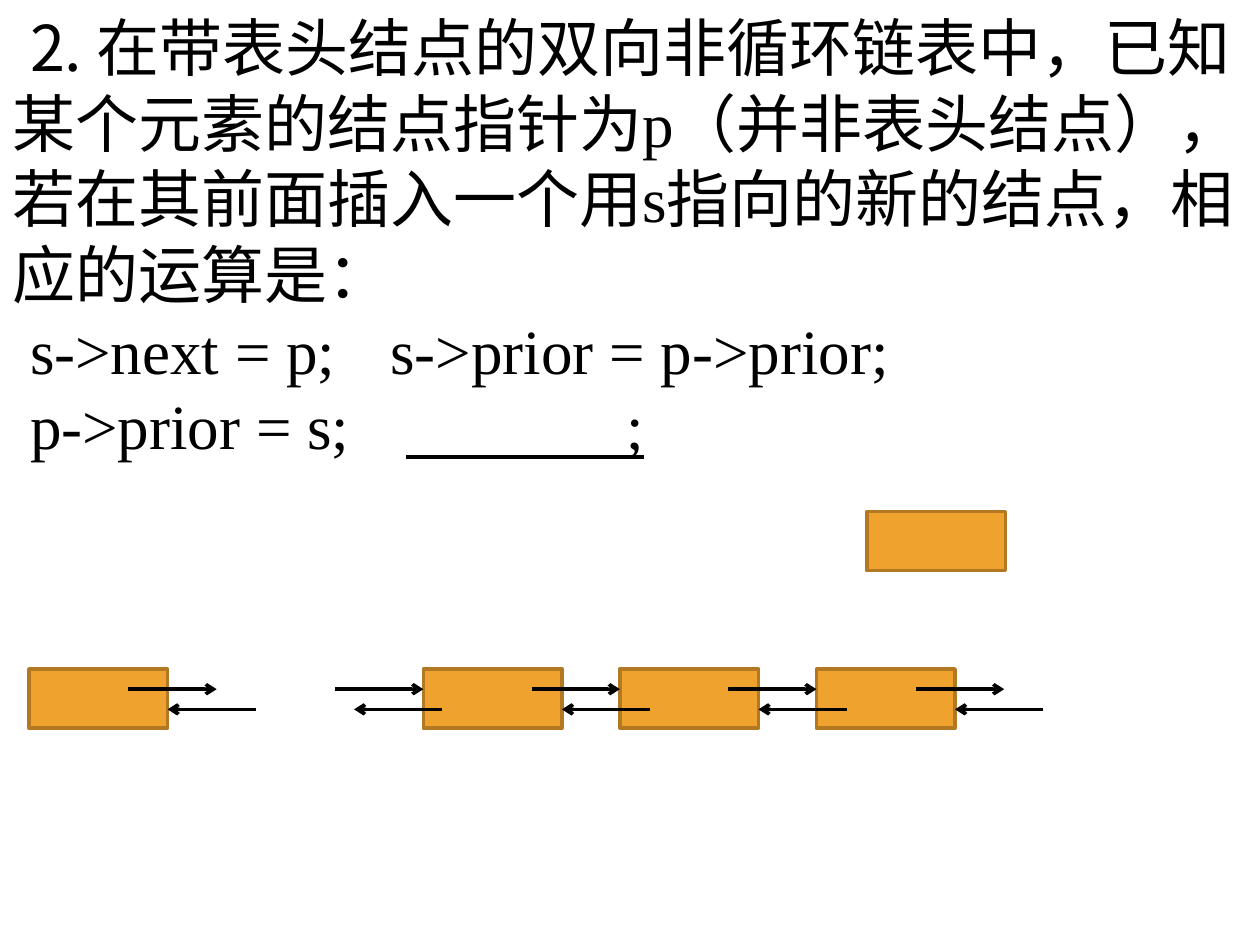
from dataclasses import dataclass

from lxml import etree
from pptx import Presentation
from pptx.dml.color import RGBColor
from pptx.enum.shapes import MSO_CONNECTOR, MSO_SHAPE
from pptx.enum.text import MSO_ANCHOR, MSO_AUTO_SIZE
from pptx.oxml.ns import qn
from pptx.util import Inches, Pt

RECTANGLE = MSO_SHAPE.RECTANGLE
STRAIGHT = MSO_CONNECTOR.STRAIGHT
MIDDLE = MSO_ANCHOR.MIDDLE
GROW = MSO_AUTO_SIZE.SHAPE_TO_FIT_TEXT


@dataclass(frozen=True)
class Theme:
    """Colours, fonts and sizes of the slide."""
    ink: RGBColor = RGBColor(0x00, 0x00, 0x00)
    node_fill: RGBColor = RGBColor(0xF0, 0xA2, 0x2E)
    node_line: RGBColor = RGBColor(0xB2, 0x78, 0x22)
    chinese_font: str = "Noto Sans CJK SC"
    body_font: str = "Times New Roman"
    body_size: float = 36
    line_pitch: float = 43.2
    line_width: float = 2


THEME = Theme()
NODE_WIDTH, NODE_HEIGHT = 1.1, 0.47
NODE_TOP = 5.31
HEAD_LEFT = 0.23
FIRST_LEFT, NODE_PITCH = 3.36, 1.56
ARROW_LENGTH = 0.7
NEXT_Y, PRIOR_Y = 5.47, 5.63


def add_run(paragraph, text, *, font=THEME.body_font, underline=None):
    """Append formatted text to a paragraph."""
    run = paragraph.add_run()
    run.text = text
    run.font.name = font
    run.font.size = Pt(THEME.body_size)
    run.font.color.rgb = THEME.ink
    run.font.underline = underline
    east_asian = etree.SubElement(run.font._element, qn("a:ea"))
    east_asian.set("typeface", THEME.chinese_font)


def format_paragraph(paragraph):
    """Set the first-line indent, line pitch and punctuation rule."""
    paragraph.line_spacing = Pt(THEME.line_pitch)
    properties = paragraph._p.get_or_add_pPr()
    properties.set("marL", "0")
    properties.set("indent", str(Inches(0.14)))
    properties.set("hangingPunct", "0")


def add_question(slide):
    """Add the question with its code lines and the blank to fill in."""
    frame = slide.shapes.add_textbox(0, 0, Inches(10), Inches(3.74)).text_frame
    frame.word_wrap = True
    frame.auto_size = GROW
    frame.vertical_anchor = MIDDLE

    question = frame.paragraphs[0]
    format_paragraph(question)
    add_run(question, "2. ", font=THEME.chinese_font)
    add_run(question, "在带表头结点的双向非循环链表中，已知某个元素的结点指针为p"
                      "（并非表头结点），若在其前面插入一个用s指向的新的结点，"
                      "相应的运算是：")

    new_links = frame.add_paragraph()
    format_paragraph(new_links)
    add_run(new_links, "s->next = p;\ts->prior = p->prior;")

    answer = frame.add_paragraph()
    format_paragraph(answer)
    add_run(answer, "p->prior = s;\t ")
    add_run(answer, " " * 14 + ";", underline=True)


def add_node(slide, left, top=NODE_TOP):
    """Add one list node."""
    node = slide.shapes.add_shape(RECTANGLE, Inches(left), Inches(top),
                                  Inches(NODE_WIDTH), Inches(NODE_HEIGHT))
    node.shadow.inherit = False
    node.fill.solid()
    node.fill.fore_color.rgb = THEME.node_fill
    node.line.color.rgb = THEME.node_line
    node.line.width = Pt(THEME.line_width)


def add_pointer(slide, start, end, y):
    """Add a horizontal arrow from start to end."""
    pointer = slide.shapes.add_connector(STRAIGHT, Inches(start), Inches(y),
                                         Inches(end), Inches(y))
    pointer.line.color.rgb = THEME.ink
    pointer.line.width = Pt(THEME.line_width)
    etree.SubElement(pointer.line._get_or_add_ln(), qn("a:tailEnd"), type="arrow")
    etree.SubElement(pointer._element.spPr, qn("a:effectLst"))


def main():
    """Build and save the slide."""
    deck = Presentation()
    deck.slide_width, deck.slide_height = Inches(10), Inches(7.5)
    slide = deck.slides.add_slide(deck.slide_layouts[6])
    add_question(slide)

    linked_lefts = [FIRST_LEFT + NODE_PITCH * i for i in range(3)]
    node_lefts = [HEAD_LEFT, *linked_lefts]
    for left in node_lefts:
        add_node(slide, left)
    for tip in [1.72, *linked_lefts, 7.97]:
        add_pointer(slide, tip - ARROW_LENGTH, tip, NEXT_Y)
    for tip in [2.81, *(left + NODE_WIDTH for left in node_lefts)]:
        add_pointer(slide, tip + ARROW_LENGTH, tip, PRIOR_Y)
    add_node(slide, 6.88, top=4.06)

    deck.save("out.pptx")


if __name__ == "__main__":
    main()
